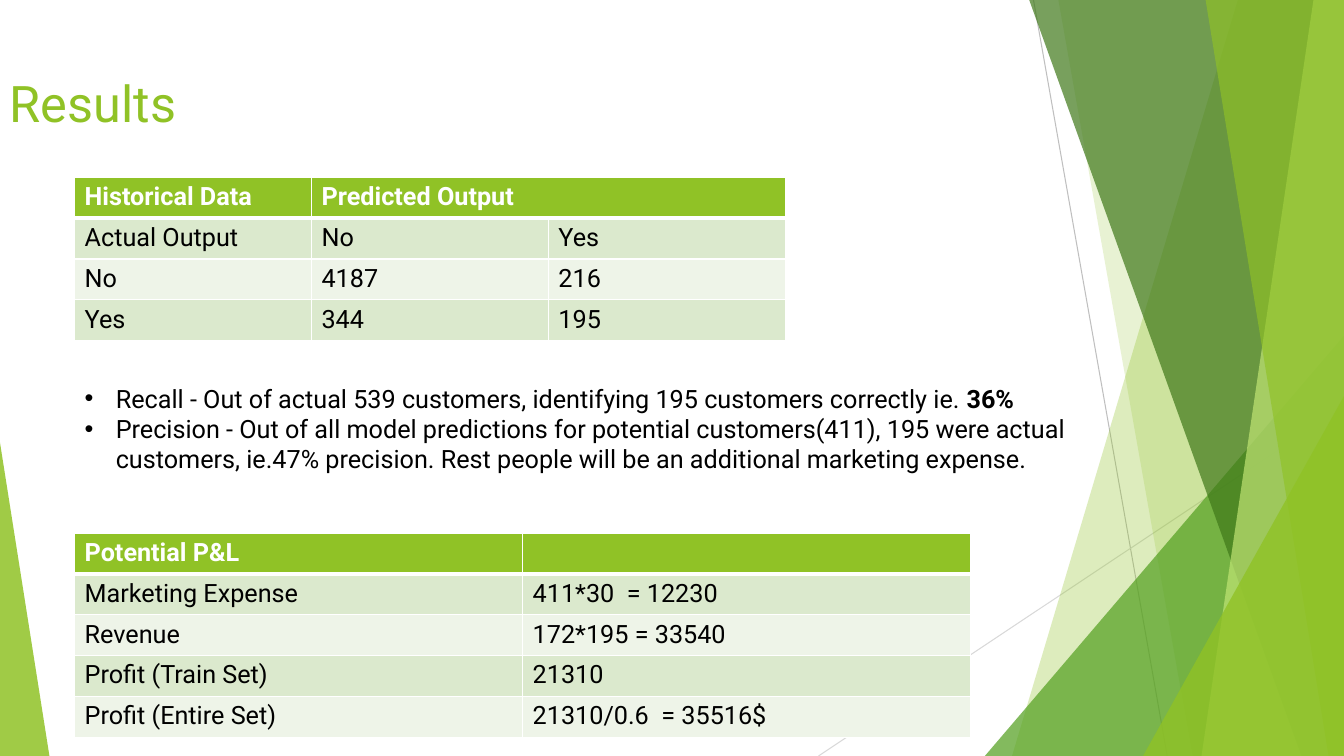
from lxml.etree import SubElement
from pptx import Presentation
from pptx.dml.color import RGBColor
from pptx.enum.shapes import MSO_CONNECTOR as Connector, MSO_SHAPE as Shape
from pptx.oxml.ns import qn
from pptx.oxml.xmlchemy import OxmlElement
from pptx.util import Inches, Pt

LIME = RGBColor(0x90, 0xC2, 0x26)
PALE_LIME = RGBColor(0xC0, 0xE4, 0x74)
GREEN = RGBColor(0x54, 0xA0, 0x21)
FOREST = RGBColor(0x3F, 0x78, 0x19)
BAND_DARK = RGBColor(0xDB, 0xE9, 0xCD)
BAND_LIGHT = RGBColor(0xEE, 0xF4, 0xE8)
GREY = RGBColor(0xBF, 0xBF, 0xBF)
PALE_GREY = RGBColor(0xD9, 0xD9, 0xD9)
WHITE = RGBColor(0xFF, 0xFF, 0xFF)
BLACK = RGBColor(0x00, 0x00, 0x00)


class ResultsPage:
    """Draws on one slide; all lengths are percent of its width or height."""

    font = "Roboto"
    body_size = 18
    row_height = 5.4

    def __init__(self, deck):
        self.deck = deck
        self.page = deck.slides.add_slide(deck.slide_layouts[6])

    def x(self, share):
        return round(self.deck.slide_width * share / 100)

    def y(self, share):
        return round(self.deck.slide_height * share / 100)

    def frame(self, left, top, width, height):
        return self.x(left), self.y(top), self.x(width), self.y(height)

    def line(self, start, end, color):
        line = self.page.shapes.add_connector(
            Connector.STRAIGHT, self.x(start[0]), self.y(start[1]),
            self.x(end[0]), self.y(end[1]))
        line.line.color.rgb = color
        line.line.width = Pt(0.75)
        SubElement(line.element.spPr, qn("a:effectLst"))

    def tint(self, shape, color, opacity):
        shape.shadow.inherit = False
        shape.line.fill.background()
        shape.fill.solid()
        shape.fill.fore_color.rgb = color
        tone = shape.element.spPr.find(qn("a:solidFill")).find(qn("a:srgbClr"))
        SubElement(tone, qn("a:alpha")).set("val", str(opacity * 1000))

    def facet(self, top_x, bottom_x, color, opacity):
        """Full-height panel from a slanted left edge to the right margin."""
        outline = self.page.shapes.build_freeform(self.x(top_x), 0)
        corners = [(100, 0), (100, 100), (bottom_x, 100)]
        outline.add_line_segments([(self.x(h), self.y(v)) for h, v in corners])
        self.tint(outline.convert_to_shape(), color, opacity)

    def corner(self, left, top, width, peak, color, opacity):
        """Right triangle standing on the bottom margin."""
        box = self.page.shapes.add_shape(
            Shape.ISOSCELES_TRIANGLE, *self.frame(left, top, width, 100 - top))
        box.adjustments[0] = peak
        self.tint(box, color, opacity)

    def add_span(self, para, text, color=BLACK, bold=False, size=body_size):
        span = para.add_run()
        span.text = text
        span.font.name = self.font
        span.font.size = Pt(size)
        span.font.bold = bold
        span.font.color.rgb = color

    def text_box(self, *place):
        box = self.page.shapes.add_textbox(*self.frame(*place))
        box.text_frame.word_wrap = True
        return box.text_frame

    def title(self, text, *place):
        self.add_span(self.text_box(*place).paragraphs[0], text, LIME, size=36)

    def bullets(self, items, *place):
        text_frame = self.text_box(*place)
        for index, spans in enumerate(items):
            para = text_frame.add_paragraph() if index else text_frame.paragraphs[0]
            layout = para._p.get_or_add_pPr()
            layout.set("marL", str(Inches(0.31)))
            layout.set("indent", str(-Inches(0.31)))
            SubElement(layout, qn("a:buFont")).set("typeface", "Arial")
            SubElement(layout, qn("a:buChar")).set("char", "•")
            for text, bold in spans:
                self.add_span(para, text, bold=bold)

    def borders(self, cell, row):
        widths = {"L": 1, "R": 1, "T": 3 if row == 1 else 1, "B": 1 if row else 3}
        for index, (side, width) in enumerate(widths.items()):
            edge = OxmlElement(f"a:ln{side}")
            edge.set("w", str(Pt(width)))
            paint = SubElement(edge, qn("a:solidFill"))
            SubElement(paint, qn("a:srgbClr")).set("val", str(WHITE))
            cell._tc.get_or_add_tcPr().insert(index, edge)

    def table(self, rows, left, top, width):
        place = self.frame(left, top, width, self.row_height * len(rows))
        table = self.page.shapes.add_table(len(rows), len(rows[0]), *place).table
        for r, texts in enumerate(rows):
            for c, text in enumerate(texts):
                cell = table.cell(r, c)
                cell.fill.solid()
                band = BAND_DARK if r % 2 else BAND_LIGHT
                cell.fill.fore_color.rgb = band if r else LIME
                self.borders(cell, r)
                if text:
                    self.add_span(cell.text_frame.paragraphs[0], text,
                                  BLACK if r else WHITE, bold=r == 0)
        return table


def main():
    deck = Presentation()
    deck.slide_width, deck.slide_height = Inches(13.33), Inches(7.5)
    results = ResultsPage(deck)

    # Green facets along the margins
    results.line((76.9, 0), (86.85, 100), GREY)
    results.line((100, 53.73), (60.9, 100), PALE_GREY)
    results.facet(92.1, 75.3, LIME, 30)
    results.facet(78.75, 88.73, LIME, 20)
    results.corner(73.28, 44.4, 26.72, 1, GREEN, 72)
    results.facet(76.58, 96.83, FOREST, 70)
    results.facet(97.73, 89.4, PALE_LIME, 70)
    results.facet(89.7, 98.85, LIME, 65)
    results.corner(85.05, 52.4, 14.95, 1, LIME, 80)
    results.corner(0, 58.53, 3.68, 0, LIME, 85)

    # Title
    results.title("Results", 0, 8.93, 66.9, 13.2)

    # Confusion matrix
    left = 5.55
    matrix = results.table([
        ("Historical Data", "Predicted Output", ""),
        ("Actual Output", "No", "Yes"),
        ("No", "4187", "216"),
        ("Yes", "344", "195"),
    ], left, 23.47, 52.88)
    matrix.cell(0, 1).merge(matrix.cell(0, 2))

    # Recall and precision
    results.bullets([
        [("Recall - Out of actual 539 customers, identifying 195 customers "
          "correctly ie. ", False), ("36%", True)],
        [("Precision - Out of all model predictions for potential "
          "customers(411), 195 were actual customers, ie.47% precision. "
          "Rest people will be an additional marketing expense.", False)],
    ], left, 50, 75.6, 17.47)

    # Profit and loss
    results.table([
        ("Potential P&L", ""),
        ("Marketing Expense", "411*30  = 12230"),
        ("Revenue", "172*195 = 33540"),
        ("Profit (Train Set)", "21310"),
        ("Profit (Entire Set)", "21310/0.6  = 35516$"),
    ], left, 70.53, 66.68)

    deck.save("out.pptx")


if __name__ == "__main__":
    main()
